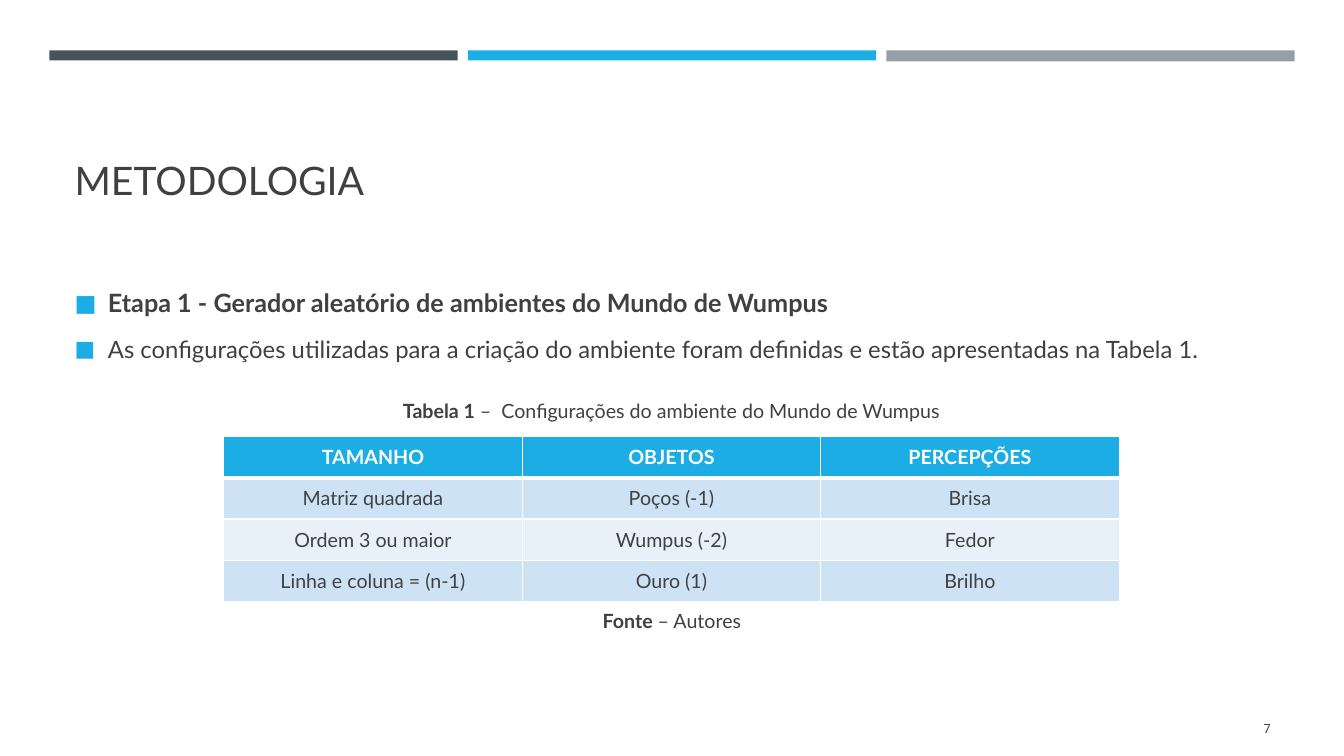
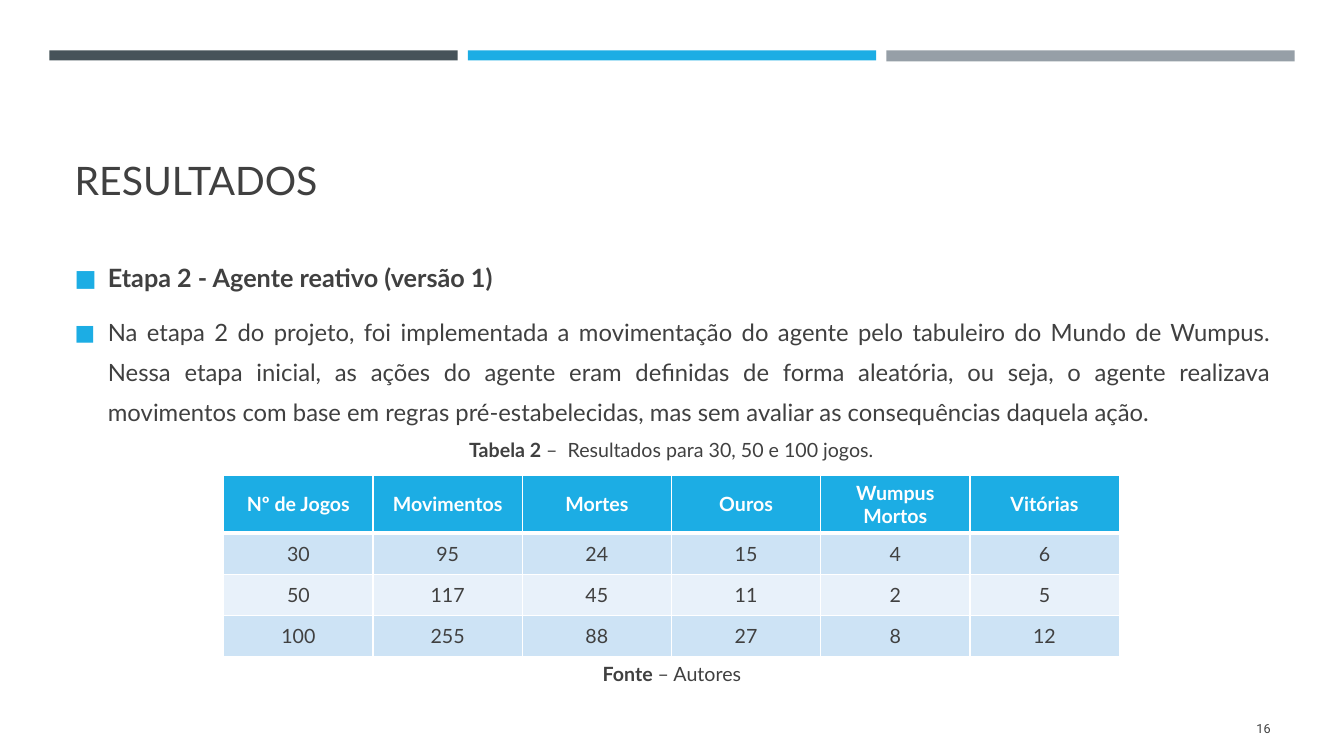
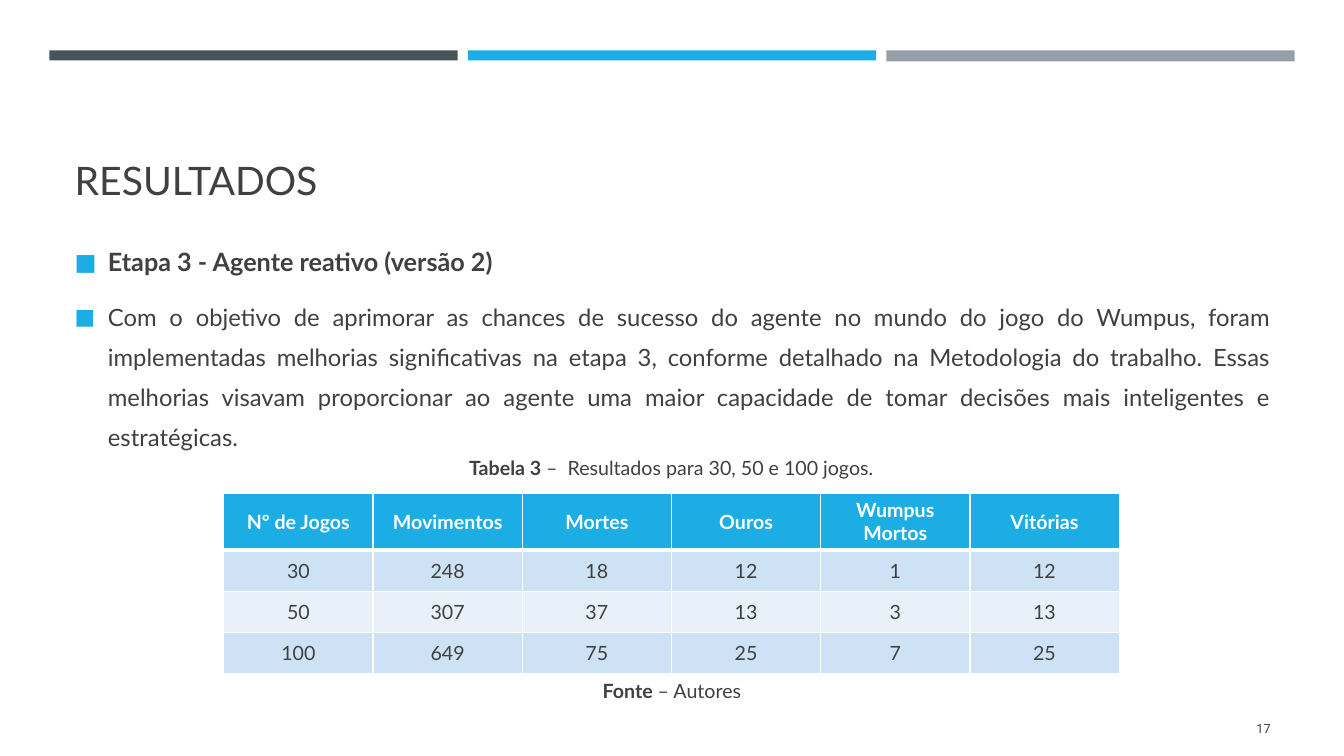
from lxml import etree
from pptx import Presentation
from pptx.dml.color import RGBColor
from pptx.enum.shapes import MSO_SHAPE
from pptx.enum.text import MSO_ANCHOR, MSO_AUTO_SIZE, PP_ALIGN
from pptx.oxml.ns import qn
from pptx.util import Emu, Pt

RECT = MSO_SHAPE.RECTANGLE
MIDDLE, BOTTOM = MSO_ANCHOR.MIDDLE, MSO_ANCHOR.BOTTOM
FIT, FIXED = MSO_AUTO_SIZE.SHAPE_TO_FIT_TEXT, MSO_AUTO_SIZE.NONE
LEFT, CENTER = PP_ALIGN.LEFT, PP_ALIGN.CENTER
RIGHT, JUSTIFY = PP_ALIGN.RIGHT, PP_ALIGN.JUSTIFY

SCALE = 9144
FONT = "Lato"
COLORS = {
    "text": "404040", "white": "FFFFFF", "slate": "465359",
    "blue": "1CADE4", "gray": "969FA7", "odd": "CDE3F5", "even": "E8F1FA",
}
TITLE = (64, 77, 1206, 130)
NUMBER = (1155, 703, 115, 40)
BANDS = (("slate", 10), ("blue", 10), ("gray", 11))
GRID_LEFT, GRID_WIDTH, ROW = 222, 888, 41
GAMES = ["Nº de Jogos", "Movimentos", "Mortes", "Ouros", "Wumpus Mortos", "Vitórias"]

SLIDES = [
    {
        "title": "METODOLOGIA", "number": "7",
        "body": (64, 256, 1206, 130), "inset": 5, "align": LEFT, "spacing": 1.1,
        "items": [
            "Etapa 1 - Gerador aleatório de ambientes do Mundo de Wumpus",
            "As configurações utilizadas para a criação do ambiente foram "
            "definidas e estão apresentadas na Tabela 1.",
        ],
        "label": "Tabela 1 ", "caption": "–  Configurações do ambiente do Mundo de Wumpus",
        "wide": 562, "top": 433, "head": 41,
        "rows": [
            ["TAMANHO", "OBJETOS", "PERCEPÇÕES"],
            ["Matriz quadrada", "Poços (-1)", "Brisa"],
            ["Ordem 3 ou maior", "Wumpus (-2)", "Fedor"],
            ["Linha e coluna = (n-1)", "Ouro (1)", "Brilho"],
        ],
    },
    {
        "title": "RESULTADOS", "number": "16",
        "body": (64, 256, 1206, 197), "inset": 43, "align": JUSTIFY, "spacing": 1.4,
        "items": [
            "Etapa 2 - Agente reativo (versão 1)",
            "Na etapa 2 do projeto, foi implementada a movimentação do agente pelo "
            "tabuleiro do Mundo de Wumpus. Nessa etapa inicial, as ações do agente "
            "eram definidas de forma aleatória, ou seja, o agente realizava movimentos "
            "com base em regras pré-estabelecidas, mas sem avaliar as consequências "
            "daquela ação.",
        ],
        "label": "Tabela 2 ", "caption": "–  Resultados para 30, 50 e 100 jogos.",
        "wide": 428, "top": 472, "head": 55,
        "rows": [
            GAMES,
            ["30", "95", "24", "15", "4", "6"],
            ["50", "117", "45", "11", "2", "5"],
            ["100", "255", "88", "27", "8", "12"],
        ],
    },
    {
        "title": "RESULTADOS", "number": "17",
        "body": (64, 228, 1206, 224), "inset": 5, "align": JUSTIFY, "spacing": 1.4,
        "items": [
            "Etapa 3 - Agente reativo (versão 2)",
            "Com o objetivo de aprimorar as chances de sucesso do agente no mundo do "
            "jogo do Wumpus, foram implementadas melhorias significativas na etapa 3, "
            "conforme detalhado na Metodologia do trabalho. Essas melhorias visavam "
            "proporcionar ao agente uma maior capacidade de tomar decisões mais "
            "inteligentes e estratégicas.",
        ],
        "label": "Tabela 3 ", "caption": "–  Resultados para 30, 50 e 100 jogos.",
        "wide": 428, "top": 489, "head": 55,
        "rows": [
            GAMES,
            ["30", "248", "18", "12", "1", "12"],
            ["50", "307", "37", "13", "3", "13"],
            ["100", "649", "75", "25", "7", "25"],
        ],
    },
]


def px(value):
    return Emu(value * SCALE)


def area(box):
    return [px(value) for value in box]


def color(name):
    return RGBColor.from_string(COLORS[name])


def style(run, size, bold=False, tint="text", face=FONT):
    run.font.name = face
    run.font.size = Pt(size)
    run.font.bold = bold
    run.font.color.rgb = color(tint)


def node(parent, tag, **attrs):
    return etree.SubElement(parent, qn(tag), attrs)


def place(shape, box):
    shape.left, shape.top, shape.width, shape.height = area(box)


def add_bands(slide, layout, box):
    left, top, width, gap = box
    for index, (tint, height) in enumerate(BANDS):
        spot = (left + index * (width + gap), top, width, height)
        band = slide.shapes.add_shape(RECT, *area(spot))
        band.shadow.inherit = False
        band.fill.solid()
        band.fill.fore_color.rgb = color(tint)
        band.line.fill.background()
        layout.shapes._spTree.append(band._element)


def add_title(slide, text, box):
    title = slide.shapes.title
    place(title, box)
    frame = title.text_frame
    frame.text = text
    frame.word_wrap = True
    frame.auto_size = FIXED
    frame.vertical_anchor = BOTTOM
    line = frame.paragraphs[0]
    line.alignment = LEFT
    style(line.runs[0], 28)


def add_bullet(line):
    props = line._p.get_or_add_pPr()
    props.set("marL", str(px(33)))
    props.set("indent", str(-px(33)))
    node(node(props, "a:buClr"), "a:srgbClr", val=COLORS["blue"])
    node(props, "a:buSzPct", val="92000")
    node(props, "a:buFont", typeface=FONT)
    node(props, "a:buChar", char="■")


def add_body(slide, data, box):
    body = slide.placeholders[1]
    place(body, box)
    frame = body.text_frame
    frame.text = "\n".join(data["items"])
    frame.word_wrap = True
    frame.auto_size = FIXED
    frame.vertical_anchor = MIDDLE
    frame.margin_bottom = px(data["inset"])
    for index, line in enumerate(frame.paragraphs):
        line.alignment = data["align"]
        line.line_spacing = data["spacing"]
        line.space_before = Pt(4)
        line.space_after = Pt(6)
        add_bullet(line)
        style(line.runs[0], 17 if index else 18, bold=not index)


def add_label(slide, label, text, box):
    frame = slide.shapes.add_textbox(*area(box)).text_frame
    frame.word_wrap = False
    frame.auto_size = FIT
    line = frame.paragraphs[0]
    line.alignment = CENTER
    for part, bold in ((label, True), (text, False)):
        run = line.add_run()
        run.text = part
        style(run, 14, bold)


def add_number(slide, text, box):
    frame = slide.shapes.add_textbox(*area(box)).text_frame
    frame.text = text
    frame.word_wrap = True
    frame.vertical_anchor = MIDDLE
    line = frame.paragraphs[0]
    line.alignment = RIGHT
    style(line.runs[0], 9, face="Roboto")


def add_border(cell, row):
    props = cell._tc.get_or_add_tcPr()
    thick = {0: "a:lnB", 1: "a:lnT"}.get(row)
    for side in ("a:lnL", "a:lnR", "a:lnT", "a:lnB"):
        edge = node(props, side, w=str(Pt(3 if side == thick else 1)))
        node(node(edge, "a:solidFill"), "a:srgbClr", val=COLORS["white"])


def fill_cell(cell, text, row):
    add_border(cell, row)
    cell.fill.solid()
    cell.fill.fore_color.rgb = color(("even", "odd")[row % 2] if row else "blue")
    cell.vertical_anchor = MIDDLE
    cell.text_frame.text = text
    line = cell.text_frame.paragraphs[0]
    line.alignment = CENTER
    style(line.runs[0], 14, not row, "text" if row else "white")


def add_grid(slide, rows, head, box):
    count = len(rows[0])
    grid = slide.shapes.add_table(len(rows), count, *area(box)).table
    for column in grid.columns:
        column.width = px(box[2] // count)
    for index, values in enumerate(rows):
        grid.rows[index].height = px(ROW if index else head)
        for col, text in enumerate(values):
            fill_cell(grid.cell(index, col), text, index)


def add_figure(slide, data, left, top, width):
    rows, head = data["rows"], data["head"]
    height = head + ROW * (len(rows) - 1)
    add_grid(slide, rows, head, (left, top, width, height))
    mid = left + width // 2
    labels = (
        (data["label"], data["caption"], data["wide"], top - 42),
        ("Fonte ", "– Autores", 161, top + height + 2),
    )
    for label, text, wide, high in labels:
        add_label(slide, label, text, (mid - wide // 2, high, wide, 34))


def add_page(deck, layout, data):
    slide = deck.slides.add_slide(layout)
    add_title(slide, data["title"], TITLE)
    add_body(slide, data, data["body"])
    add_number(slide, data["number"], NUMBER)
    add_figure(slide, data, GRID_LEFT, data["top"], GRID_WIDTH)
    return slide


def main():
    deck = Presentation()
    deck.slide_width, deck.slide_height = px(1333), px(750)
    layout = deck.slide_layouts[1]
    pages = [add_page(deck, layout, data) for data in SLIDES]
    add_bands(pages[0], layout, (49, 50, 405, 10))
    deck.save("out.pptx")


if __name__ == "__main__":
    main()
